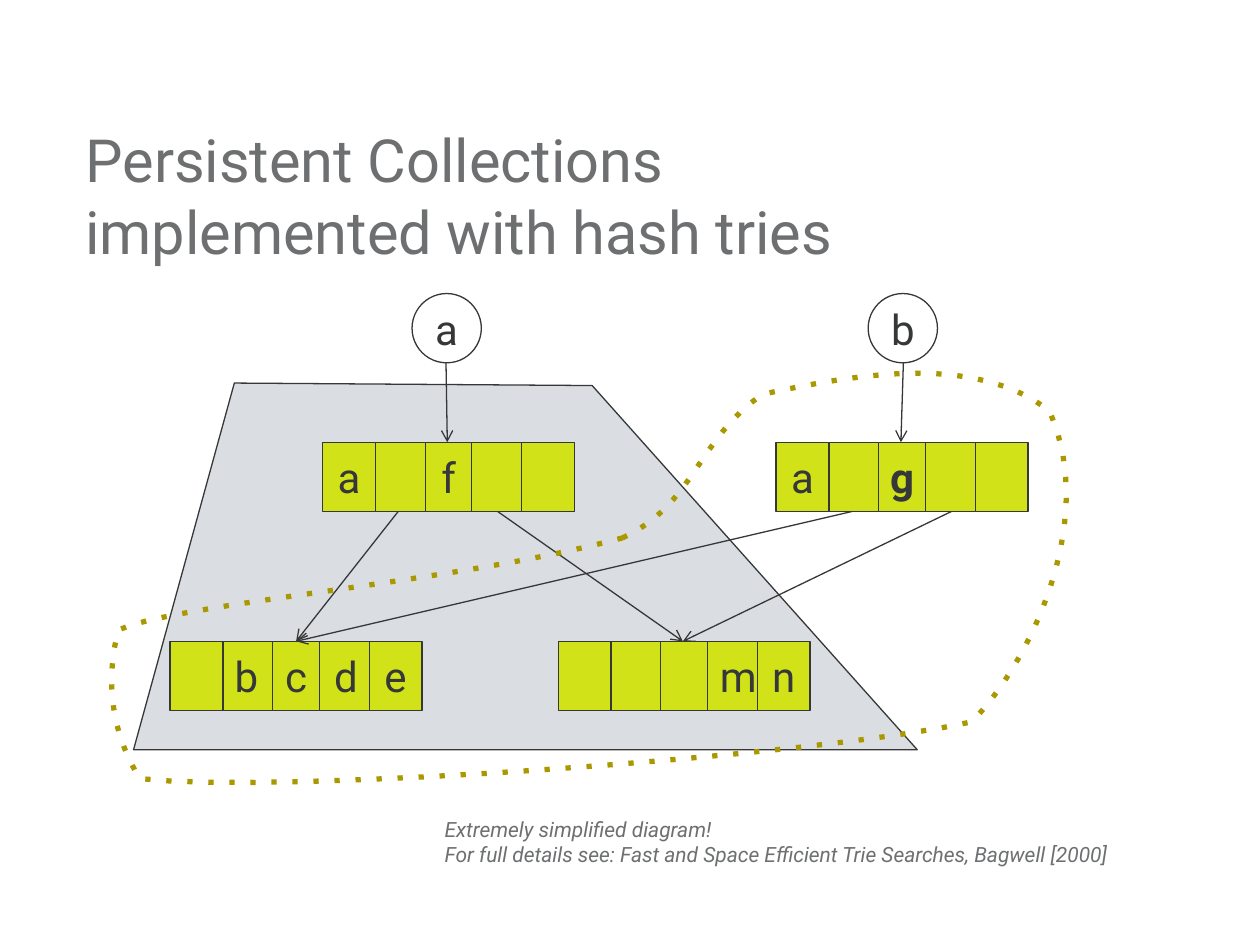
from typing import NamedTuple

import pptx
import pptx.dml.color
import pptx.enum.dml
import pptx.enum.shapes
import pptx.enum.text
import pptx.oxml
import pptx.oxml.ns
import pptx.util

Inches = pptx.util.Inches
Pt = pptx.util.Pt
RGBColor = pptx.dml.color.RGBColor
MSO_SHAPE = pptx.enum.shapes.MSO_SHAPE
PP_ALIGN = pptx.enum.text.PP_ALIGN
MSO_ANCHOR = pptx.enum.text.MSO_ANCHOR

INK = RGBColor(0x36, 0x37, 0x38)
GRAY = RGBColor(0x6D, 0x6F, 0x71)
LIME = RGBColor(0xD1, 0xE3, 0x18)
PALE = RGBColor(0xDA, 0xDE, 0xE2)
OLIVE = RGBColor(0xAA, 0x98, 0x00)
WHITE = RGBColor(0xFF, 0xFF, 0xFF)

NODE = 0.55
CELL_W = 0.42
ROW_W = 2
CELL_STEP = (ROW_W - CELL_W) / 4
STACKING = (2, 3, 1, 4, 0)
CURVE_STEPS = 16

Point = tuple[float, float]


class Root(NamedTuple):
    label: str
    left: float
    top: float


class TrieRow(NamedTuple):
    keys: tuple[str, ...]
    left: float
    top: float
    bold_key: str = ""


class Arrow(NamedTuple):
    start: Point
    end: Point


TRAPEZOID = [(1.06, 5.95), (1.86, 3.04), (4.7, 3.06), (7.28, 5.95)]

ROOTS = [Root("a", 3.27, 2.33), Root("b", 6.89, 2.33)]

ROWS = [
    TrieRow(("a", "", "f", "", ""), 2.56, 3.51),
    TrieRow(("", "b", "c", "d", "e"), 1.35, 5.09),
    TrieRow(("", "", "", "m", "n"), 4.43, 5.09),
    TrieRow(("a", "", "g", "", ""), 6.16, 3.51, bold_key="g"),
]

LEFT_CHILD = (2.35, 5.09)
RIGHT_CHILD = (5.42, 5.09)
ARROWS = [
    Arrow((3.54, 2.88), (3.55, 3.51)),
    Arrow((7.17, 2.88), (7.15, 3.51)),
    Arrow((3.16, 4.06), LEFT_CHILD),
    Arrow((3.95, 4.06), RIGHT_CHILD),
    Arrow((6.76, 4.06), LEFT_CHILD),
    Arrow((7.55, 4.06), RIGHT_CHILD),
]

LOOP_START = (4.94, 4.27)
LOOP_CURVES = [
    ((5.51, 4.01), (5.53, 3.49), (6.05, 3.13)),
    ((6.88, 2.95), (7.75, 2.82), (8.33, 3.26)),
    ((8.73, 4.16), (8.14, 5.31), (7.71, 5.73)),
    ((6.52, 6), (2.22, 6.31), (1.11, 6.18)),
    ((0.89, 5.83), (0.83, 5.41), (0.94, 5)),
    ((1.38, 4.79), (3.66, 4.62), LOOP_START),
]


def write(tf, text: str, *, size: float, color: RGBColor = INK, bold: bool = False,
          italic: bool = False, align=PP_ALIGN.LEFT, anchor=MSO_ANCHOR.TOP,
          wrap: bool = True) -> None:
    tf.word_wrap = wrap
    tf.vertical_anchor = anchor
    for i, line in enumerate(text.split("\n")):
        p = tf.paragraphs[0] if i == 0 else tf.add_paragraph()
        p.text = line
        p.alignment = align
        for r in p.runs:
            r.font.name = "Roboto"
            r.font.size = Pt(size)
            r.font.bold = bold
            r.font.italic = italic
            r.font.color.rgb = color


def style(sp, fill: RGBColor | None, line: RGBColor = INK, width: float = 0.75) -> None:
    sp.shadow.inherit = False
    if fill is None:
        sp.fill.background()
    else:
        sp.fill.solid()
        sp.fill.fore_color.rgb = fill
    sp.line.color.rgb = line
    sp.line.width = Pt(width)


def add_box(s, kind, left: float, top: float, width: float, fill: RGBColor,
            label: str, bold: bool = False) -> None:
    sp = s.shapes.add_shape(kind, Inches(left), Inches(top), Inches(width), Inches(NODE))
    style(sp, fill)
    if label:
        write(sp.text_frame, label, size=24, bold=bold,
              align=PP_ALIGN.CENTER, anchor=MSO_ANCHOR.MIDDLE)


def add_row(s, row: TrieRow) -> None:
    for i in STACKING:
        key = row.keys[i]
        add_box(s, MSO_SHAPE.RECTANGLE, row.left + i * CELL_STEP, row.top, CELL_W,
                LIME, key, bold=key == row.bold_key)


def add_arrow(s, arrow: Arrow) -> None:
    ends = [Inches(v) for v in (*arrow.start, *arrow.end)]
    sp = s.shapes.add_connector(pptx.enum.shapes.MSO_CONNECTOR.STRAIGHT, *ends)
    sp.line.color.rgb = INK
    sp.line.width = Pt(0.75)
    ns = pptx.oxml.ns.nsdecls("a")
    sp.line._get_or_add_ln().append(pptx.oxml.parse_xml(f'<a:tailEnd {ns} type="arrow"/>'))
    sp._element.spPr.append(pptx.oxml.parse_xml(f"<a:effectLst {ns}/>"))


def add_outline(s, points: list[Point]):
    start, *rest = [(Inches(x), Inches(y)) for x, y in points]
    builder = s.shapes.build_freeform(*start)
    builder.add_line_segments(rest, close=True)
    return builder.convert_to_shape()


def curve_points(start: Point, curves) -> list[Point]:
    points = [start]
    for c1, c2, end in curves:
        for i in range(1, CURVE_STEPS + 1):
            t = i / CURVE_STEPS
            u = 1 - t
            points.append(tuple(
                u**3 * a + 3 * u * u * t * b + 3 * u * t * t * c + t**3 * d
                for a, b, c, d in zip(start, c1, c2, end)))
        start = end
    return points


def add_text(s, text: str, left: float, top: float, width: float, height: float, **fmt) -> None:
    sp = s.shapes.add_textbox(Inches(left), Inches(top), Inches(width), Inches(height))
    write(sp.text_frame, text, color=GRAY, **fmt)


def main() -> None:
    prs = pptx.Presentation()
    prs.slide_width = Inches(10)
    prs.slide_height = Inches(7.5)
    s = prs.slides.add_slide(prs.slide_layouts[6])

    style(add_outline(s, TRAPEZOID), PALE)
    add_text(s, "Persistent Collections\vimplemented with hash tries",
             0.58, 1.17, 7, 0.75, size=34, anchor=MSO_ANCHOR.MIDDLE)
    for root in ROOTS:
        add_box(s, MSO_SHAPE.OVAL, root.left, root.top, NODE, WHITE, root.label)
    for row in ROWS:
        add_row(s, row)
    for arrow in ARROWS:
        add_arrow(s, arrow)
    add_text(s, "Extremely simplified diagram!\nFor full details see: "
             "Fast and Space Efficient Trie Searches, Bagwell [2000]",
             3.43, 6.43, 5.81, 0.5, size=12, italic=True, wrap=False)

    loop = add_outline(s, curve_points(LOOP_START, LOOP_CURVES))
    style(loop, None, OLIVE, 3)
    loop.line.dash_style = pptx.enum.dml.MSO_LINE.SQUARE_DOT
    loop.line._get_or_add_ln().find(pptx.oxml.ns.qn("a:prstDash")).set("val", "dot")

    prs.save("out.pptx")


if __name__ == "__main__":
    main()
